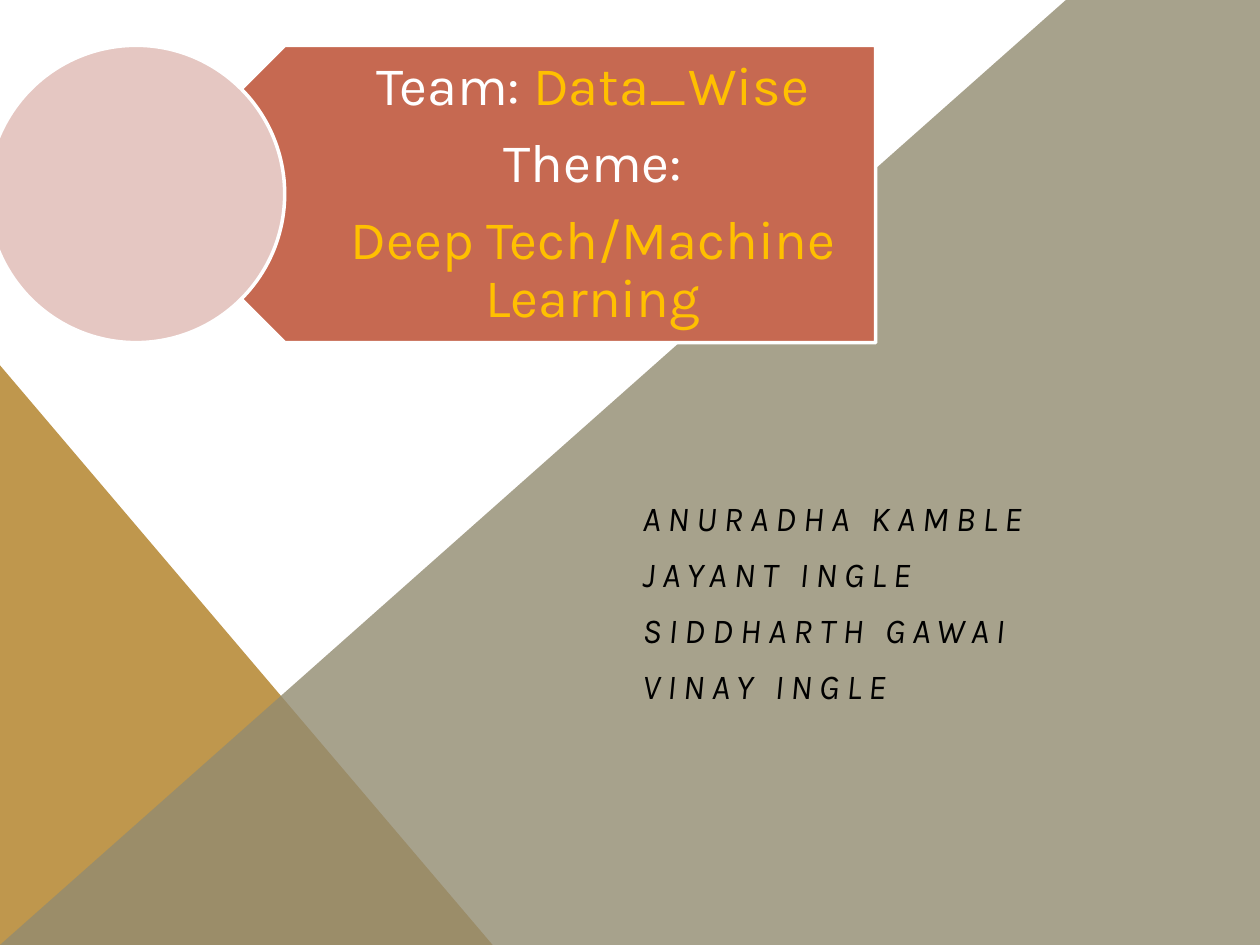
import pptx
import pptx.util
import pptx.dml.color
import pptx.enum.shapes
import pptx.enum.text
import pptx.oxml.ns
import lxml.etree

Inches = pptx.util.Inches
Pt = pptx.util.Pt
RGB = pptx.dml.color.RGBColor
Preset = pptx.enum.shapes.MSO_SHAPE
Align = pptx.enum.text.PP_ALIGN
Anchor = pptx.enum.text.MSO_ANCHOR

WHITE = RGB(0xFF, 0xFF, 0xFF)
BLACK = RGB(0x00, 0x00, 0x00)
YELLOW = RGB(0xFF, 0xC0, 0x00)
GOLD = RGB(0xBF, 0x97, 0x4D)
OLIVE = RGB(0x92, 0x8B, 0x70)
RUST = RGB(0xC6, 0x69, 0x51)
PINK = RGB(0xE5, 0xC7, 0xC2)


class Painter:
    """Holds the style and the current slide."""
    font = "Karla"

    def __init__(self, page):
        self.shapes = page.shapes

    def finish(self, shape, fill, line=None, alpha=None):
        shape.shadow.inherit = False
        shape.fill.solid()
        shape.fill.fore_color.rgb = fill
        if alpha is not None:
            color = shape.fill._xPr.find(".//" + pptx.oxml.ns.qn("a:srgbClr"))
            lxml.etree.SubElement(color, pptx.oxml.ns.qn("a:alpha"), val=str(alpha * 1000))
        if line is None:
            shape.line.fill.background()
        else:
            shape.line.color.rgb = line
            shape.line.width = Pt(2)
        return shape

    def preset(self, kind, at, fill, line=None):
        return self.finish(self.shapes.add_shape(kind, *map(Inches, at)), fill, line)

    def outline(self, points, fill, alpha):
        corners = [(Inches(x), Inches(y)) for x, y in points]
        builder = self.shapes.build_freeform(*corners[0])
        builder.add_line_segments(corners[1:], close=True)
        return self.finish(builder.convert_to_shape(), fill, alpha=alpha)

    def text(self, at, insets, paras, size, align=Align.LEFT, anchor=Anchor.TOP,
             before=0, after=0, leading=1.0, italic=False, tracking=0):
        frame = self.shapes.add_textbox(*map(Inches, at)).text_frame
        frame.word_wrap = True
        frame.vertical_anchor = anchor
        (frame.margin_left, frame.margin_top,
         frame.margin_right, frame.margin_bottom) = map(Inches, insets)
        for index, spans in enumerate(paras):
            para = frame.add_paragraph() if index else frame.paragraphs[0]
            para.alignment = align
            para.line_spacing = leading
            para.space_before = Pt(before if index else 0)
            para.space_after = Pt(after)
            for words, color in spans:
                span = para.add_run()
                span.text = words
                span.font.name = self.font
                span.font.size = Pt(size)
                span.font.italic = italic
                span.font.color.rgb = color
                if tracking:
                    span.font._element.set("spc", str(tracking * 100))


deck = pptx.Presentation()
deck.slide_width, deck.slide_height = Inches(10), Inches(7.5)
painter = Painter(deck.slides.add_slide(deck.slide_layouts[6]))

# Background triangles
painter.preset(Preset.RIGHT_TRIANGLE, (0, 2.9, 3.91, 4.6), GOLD)
painter.outline([(0, 7.5), (8.46, 0), (10, 0), (10, 7.5)], OLIVE, alpha=80)

# Team banner with its round badge
banner = painter.preset(Preset.PENTAGON, (1.08, 0.36, 5.87, 2.36), RUST, WHITE)
banner.rotation = 180
painter.text((1.67, 0.36, 5.27, 2.36), (1.04, 0.13, 0.24, 0.13),
             [[("Team: ", WHITE), ("Data_Wise", YELLOW)],
              [("Theme:", WHITE)],
              [("Deep Tech/Machine Learning", YELLOW)]],
             size=31, align=Align.CENTER, anchor=Anchor.MIDDLE, after=10.5, leading=0.9)
painter.preset(Preset.OVAL, (-0.1, 0.36, 2.36, 2.36), PINK, WHITE)

# Team members
members = ["ANURADHA KAMBLE", "JAYANT INGLE", "SIDDHARTH GAWAI", "VINAY INGLE"]
painter.text((5, 3.59, 6.49, 2.1), (0.1, 0.35, 0.1, 0.05),
             [[(name, BLACK)] for name in members],
             size=20, before=8, italic=True, tracking=4)

deck.save("out.pptx")
